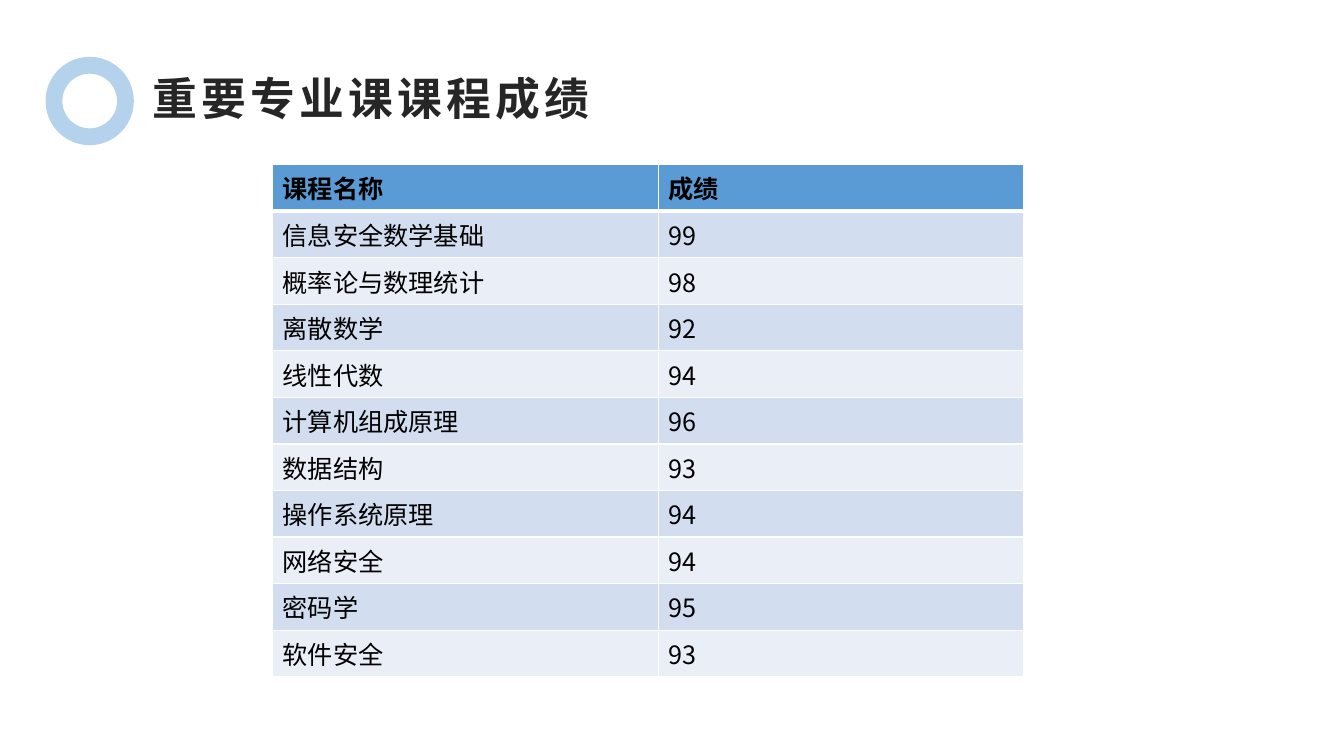
import pptx
import pptx.util
import pptx.dml.color
import pptx.enum.shapes
import pptx.enum.text
import pptx.oxml
import pptx.oxml.ns
from lxml import etree

Pt = pptx.util.Pt
RGB = pptx.dml.color.RGBColor
qn = pptx.oxml.ns.qn

TITLE = "重要专业课课程成绩"
GRADES = [
    ("课程名称", "成绩"),
    ("信息安全数学基础", "99"),
    ("概率论与数理统计", "98"),
    ("离散数学", "92"),
    ("线性代数", "94"),
    ("计算机组成原理", "96"),
    ("数据结构", "93"),
    ("操作系统原理", "94"),
    ("网络安全", "94"),
    ("密码学", "95"),
    ("软件安全", "93"),
]
COLUMN_WIDTHS = (275.6, 261)
ROW_HEIGHT = 33.27

WHITE = RGB(0xFF, 0xFF, 0xFF)
BLACK = RGB(0x00, 0x00, 0x00)
DARK = RGB(0x26, 0x26, 0x26)
RING = RGB(0xB5, 0xD2, 0xEC)
HEADER = RGB(0x5B, 0x9B, 0xD5)
BANDS = (RGB(0xEA, 0xEF, 0xF7), RGB(0xD2, 0xDE, 0xEF))


def write(tf, text, font="Noto Sans CJK SC", size=18, color=BLACK, bold=False, spacing=0):
    r = tf.paragraphs[0].add_run()
    r.text = text
    r.font.name, r.font.size, r.font.bold = font, Pt(size), bold
    r.font.color.rgb = color
    rPr = r.font._element
    if spacing:
        rPr.set("spc", str(spacing * 100))
    # East Asian text takes its typeface from a:ea
    etree.SubElement(rPr, qn("a:ea")).set("typeface", font)


def set_borders(cell, **widths):
    tcPr = cell._tc.get_or_add_tcPr()
    for i, (side, width) in enumerate(widths.items()):
        ln = etree.Element(qn("a:ln" + side), w=str(int(Pt(width))))
        fill = etree.SubElement(ln, qn("a:solidFill"))
        etree.SubElement(fill, qn("a:srgbClr")).set("val", str(WHITE))
        tcPr.insert(i, ln)


prs = pptx.Presentation()
prs.slide_width, prs.slide_height = Pt(960), Pt(540)
s = prs.slides.add_slide(prs.slide_layouts[6])

title = s.shapes.add_textbox(Pt(101.5), Pt(33.8), Pt(385.2), Pt(55.4))
tf = title.text_frame
tf.word_wrap = True
tf.vertical_anchor = pptx.enum.text.MSO_ANCHOR.BOTTOM
tf.margin_bottom = 0
write(tf, TITLE, font="Arial", size=32, color=DARK, bold=True, spacing=3)

ring = s.shapes.add_shape(pptx.enum.shapes.MSO_SHAPE.OVAL,
                          Pt(38.5), Pt(46.6), Pt(51.1), Pt(51.1))
ring.shadow.inherit = False
ring.fill.solid()
ring.fill.fore_color.rgb = WHITE
ring.line.color.rgb = RING
ring.line.width = Pt(12)

table = s.shapes.add_table(len(GRADES), len(COLUMN_WIDTHS), Pt(194.7), Pt(117.6),
                           Pt(sum(COLUMN_WIDTHS)), Pt(ROW_HEIGHT * len(GRADES))).table
for column, width in zip(table.columns, COLUMN_WIDTHS):
    column.width = Pt(width)
for i, row in enumerate(GRADES):
    table.rows[i].height = Pt(ROW_HEIGHT)
    for j, text in enumerate(row):
        cell = table.cell(i, j)
        write(cell.text_frame, text, bold=i == 0)
        cell.fill.solid()
        cell.fill.fore_color.rgb = BANDS[i % 2] if i else HEADER
        set_borders(cell, L=1, R=1, T=3 if i == 1 else 1, B=1 if i else 3)

prs.save("out.pptx")
